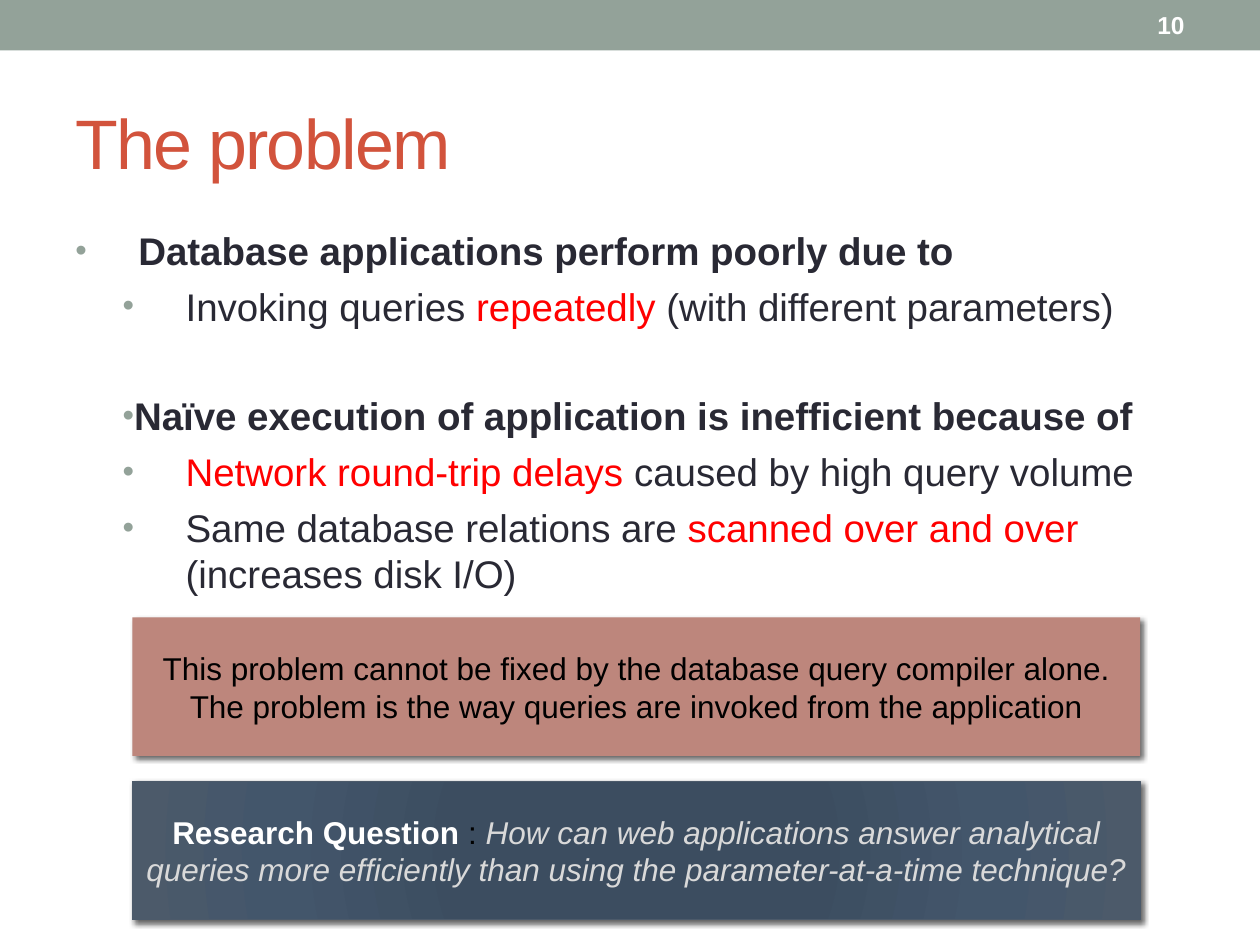
import pptx
import pptx.dml.color
import pptx.enum.shapes
import pptx.enum.text
import pptx.oxml.ns
import pptx.util
from lxml import etree

Pt = pptx.util.Pt
ALIGN = pptx.enum.text.PP_ALIGN
MIDDLE = pptx.enum.text.MSO_ANCHOR.MIDDLE
TOP = pptx.enum.text.MSO_ANCHOR.TOP

SAGE, RUST, INK, RED = "93A299", "D2533C", "292934", "FF0000"
WHITE, BLACK, PALE = "FFFFFF", "000000", "D9D9D9"
ROSE, SLATE = "BD867C", "4C5A6A"


def color(hex_string):
    return pptx.dml.color.RGBColor.from_string(hex_string)


def add_node(parent, tag, **attributes):
    node = etree.SubElement(parent, pptx.oxml.ns.qn(tag))
    for name, value in attributes.items():
        node.set(name, str(value))
    return node


def add_color_node(parent, hex_string):
    return add_node(parent, "a:srgbClr", val=hex_string)


class SlideBuilder:
    font = "Arial"

    def __init__(self, page):
        self.page = page

    def add_spans(self, para, spans, size):
        """Each span is (text, colour, style), style holding b and/or i."""
        for text, hex_string, style in spans:
            span = para.add_run()
            span.text = text
            span.font.name = self.font
            span.font.size = Pt(size)
            span.font.bold = "b" in style
            span.font.italic = "i" in style
            span.font.color.rgb = color(hex_string)

    def text_box(self, left, top, width, height, anchor=MIDDLE):
        box = self.page.shapes.add_textbox(Pt(left), Pt(top), Pt(width), Pt(height))
        box.text_frame.word_wrap = True
        box.text_frame.vertical_anchor = anchor
        return box.text_frame

    def bullet(self, para, spans, size, margin, indent, space):
        para.space_before = Pt(space)
        self.add_spans(para, spans, size)
        properties = para._p.get_or_add_pPr()
        properties.set("marL", str(Pt(margin)))
        properties.set("indent", str(Pt(indent)))
        add_color_node(add_node(properties, "a:buClr"), SAGE)
        add_node(properties, "a:buSzPct", val=85000)
        add_node(properties, "a:buFont", typeface=self.font)
        add_node(properties, "a:buChar", char="•")

    def rectangle(self, left, top, width, height, fill):
        box = self.page.shapes.add_shape(
            pptx.enum.shapes.MSO_SHAPE.RECTANGLE,
            Pt(left), Pt(top), Pt(width), Pt(height))
        box.shadow.inherit = False
        box.fill.solid()
        box.fill.fore_color.rgb = color(fill)
        box.line.fill.background()
        return box

    def callout(self, top, fill, spans):
        box = self.rectangle(75.6, top, 576, 79.2, fill)
        effects = box._element.spPr.find(pptx.oxml.ns.qn("a:effectLst"))
        shadow = add_node(effects, "a:outerShdw", blurRad=Pt(3), dist=Pt(2),
                          dir=45 * 60000, rotWithShape=0)
        add_node(add_color_node(shadow, BLACK), "a:alpha", val=60000)
        frame = box.text_frame
        frame.word_wrap = True
        frame.vertical_anchor = MIDDLE
        frame.paragraphs[0].alignment = ALIGN.CENTER
        self.add_spans(frame.paragraphs[0], spans, 18)
        return box

    def radial_fill(self, box, stops):
        box.fill.gradient()
        gradient = box._element.spPr.find(pptx.oxml.ns.qn("a:gradFill"))
        for child in list(gradient):
            gradient.remove(child)
        stop_list = add_node(gradient, "a:gsLst")
        for percent, hex_string in stops:
            add_color_node(add_node(stop_list, "a:gs", pos=percent * 1000), hex_string)
        circle = add_node(gradient, "a:path", path="circle")
        add_node(circle, "a:fillToRect", l=100000, t=100000, r=100000, b=100000)


def main():
    deck = pptx.Presentation()
    deck.slide_width, deck.slide_height = Pt(720), Pt(540)
    builder = SlideBuilder(deck.slides.add_slide(deck.slide_layouts[6]))

    # Top band and page number
    builder.rectangle(0, 0, 720, 28.8, SAGE)
    number = builder.text_box(600, 1.4, 84, 26).paragraphs[0]
    number.alignment = ALIGN.RIGHT
    builder.add_spans(number, [("10", WHITE, "b")], 14)

    # Title
    title = builder.text_box(36, 41.8, 648, 77.8).paragraphs[0]
    builder.add_spans(title, [("The problem", RUST, "")], 40)
    title.runs[0].font._element.set("spc", "-100")

    # Bullets: margin, first-line indent, space before, spans
    gap, section_gap = 5.5, 36.3
    bullets = [
        (36, -36, gap, [("Database applications perform poorly due to", INK, "b")]),
        (63, -36, gap, [("Invoking queries ", INK, ""), ("repeatedly", RED, ""),
                        (" (with different parameters)", INK, "")]),
        (0, 27, section_gap,
         [("Naïve execution of application is inefficient because of", INK, "b")]),
        (63, -36, gap, [("Network round-trip delays", RED, ""),
                        (" caused by high query volume", INK, "")]),
        (63, -36, gap, [("Same database relations are ", INK, ""),
                        ("scanned over and over", RED, ""),
                        (" (increases disk I/O)", INK, "")]),
    ]
    body = builder.text_box(36, 126, 648, 384, TOP)
    for index, (margin, indent, space, spans) in enumerate(bullets):
        para = body.add_paragraph() if index else body.paragraphs[0]
        builder.bullet(para, spans, 22, margin, indent, space)

    # Callouts
    builder.callout(352.8, ROSE, [
        ("This problem cannot be fixed by the database query compiler alone. "
         "The problem is the way queries are invoked from the application", BLACK, "")])
    question = builder.callout(446.4, SLATE, [
        ("Research Question ", WHITE, "b"), (": ", BLACK, ""),
        ("How can web applications answer analytical queries more efficiently "
         "than using the parameter-at-a-time technique?", PALE, "i")])
    builder.radial_fill(question, [(0, "3B4D61"), (34, "3C4D60"),
                                   (70, "43566B"), (100, SLATE)])
    question.line.color.rgb = color(SLATE)
    question.line.width = Pt(0.75)

    deck.save("out.pptx")


if __name__ == "__main__":
    main()
